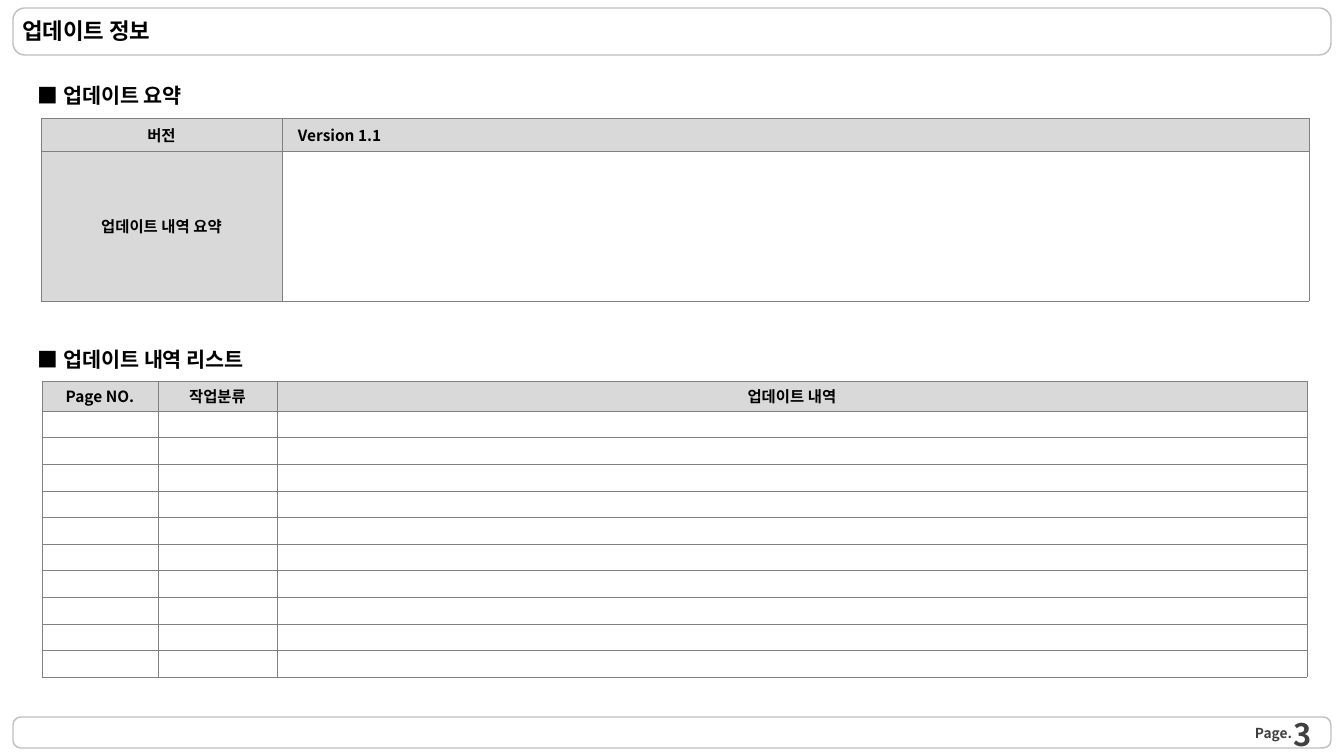
import pptx
import pptx.util
import pptx.dml.color
import pptx.enum.shapes
import pptx.enum.text
import pptx.oxml
import pptx.oxml.ns

# Content: lengths in px
TITLE = "업데이트 정보"
HEADINGS = [("■ 업데이트 요약", 77, 210), ("■ 업데이트 내역 리스트", 341, 306)]
PAGE_LABEL, PAGE_NUMBER = "Page.", "3"
SUMMARY = [["버전", "Version 1.1"], ["업데이트 내역 요약", ""]]
CHANGES = [["Page NO.", "작업분류", "업데이트 내역"]] + [["", "", ""]] * 10
BARS = [(8, 47), (717, 31)]  # top, height
BAR_LEFT, BAR_WIDTH = 13, 1318

FONT = "Noto Sans CJK KR"
BLACK, DARK, GREY, SILVER, PALE = "000000", "404040", "808080", "BFBFBF", "D9D9D9"
SCALE = 914400 / 100.8
ALIGN = pptx.enum.text.PP_ALIGN
MIDDLE = pptx.enum.text.MSO_ANCHOR.MIDDLE


def px(length):
    return pptx.util.Emu(round(length * SCALE))


def color(value):
    return pptx.dml.color.RGBColor.from_string(value)


def write(para, text, size, ink=BLACK, font=FONT, align=ALIGN.LEFT):
    para.text = text
    para.alignment = align
    para.font.size = pptx.util.Pt(size)
    para.font.bold = True
    para.font.color.rgb = color(ink)
    para.font.name = font
    east = pptx.oxml.parse_xml(f'<a:ea {pptx.oxml.ns.nsdecls("a")} typeface="{FONT}"/>')
    para.font._element.append(east)


def set_frame(frame, inset=0):
    frame.word_wrap = True
    frame.auto_size = pptx.enum.text.MSO_AUTO_SIZE.NONE
    frame.vertical_anchor = MIDDLE
    frame.margin_left = frame.margin_right = px(inset)
    frame.margin_top = frame.margin_bottom = 0


def add_text(left, top, width, height, text, size, inset=0, **style):
    box = page.shapes.add_textbox(px(left), px(top), px(width), px(height))
    set_frame(box.text_frame, inset)
    write(box.text_frame.paragraphs[0], text, size, **style)


def set_borders(cell):
    properties = cell._tc.get_or_add_tcPr()
    for place, side in enumerate(("lnL", "lnR", "lnT", "lnB")):
        properties.insert(place, pptx.oxml.parse_xml(
            f'<a:{side} {pptx.oxml.ns.nsdecls("a")} w="3175"><a:solidFill>'
            f'<a:srgbClr val="{GREY}"/></a:solidFill></a:{side}>'))


def add_grid(left, top, widths, heights, rows, left_aligned=()):
    table = page.shapes.add_table(len(rows), len(widths), px(left), px(top),
                                  px(sum(widths)), px(sum(heights))).table
    table.first_row = table.horz_banding = False
    for column, width in zip(table.columns, widths):
        column.width = px(width)
    for row, height in zip(table.rows, heights):
        row.height = px(height)
    for r, texts in enumerate(rows):
        for c, text in enumerate(texts):
            cell = table.cell(r, c)
            cell.vertical_anchor = MIDDLE
            cell.margin_left = px(16 if (r, c) in left_aligned else 10)
            cell.margin_right = px(10)
            cell.margin_top = cell.margin_bottom = px(3)
            para = cell.text_frame.paragraphs[0]
            if text:
                cell.fill.solid()
                cell.fill.fore_color.rgb = color(PALE)
                write(para, text, 11,
                      align=ALIGN.LEFT if (r, c) in left_aligned else ALIGN.CENTER)
            else:
                cell.fill.background()
                # Small end mark keeps empty rows low
                para._p.append(pptx.oxml.parse_xml(
                    f'<a:endParaRPr {pptx.oxml.ns.nsdecls("a")} sz="800"/>'))
            set_borders(cell)


deck = pptx.Presentation()
deck.slide_width, deck.slide_height = px(1344), px(756)
page = deck.slides.add_slide(deck.slide_layouts[5])

# Header and footer bars
for top, height in BARS:
    bar = page.shapes.add_shape(pptx.enum.shapes.MSO_SHAPE.ROUNDED_RECTANGLE,
                                px(BAR_LEFT), px(top), px(BAR_WIDTH), px(height))
    bar.adjustments[0] = 0.25
    bar.shadow.inherit = False
    bar.fill.background()
    bar.line.color.rgb = color(SILVER)
    bar.line.width = pptx.util.Pt(1)

# Title
title = page.shapes.title
title.left, title.top, title.width, title.height = px(BAR_LEFT), px(2), px(BAR_WIDTH), px(58)
set_frame(title.text_frame, 9)
write(title.text_frame.paragraphs[0], TITLE, 16, font="Arial")

# Page number
add_text(1255, 725, 56, 17, PAGE_LABEL, 9.8, ink=DARK)
add_text(1009, 726, 313, 16, PAGE_NUMBER, 22.1, inset=10, ink=DARK, align=ALIGN.RIGHT)

# Section headings and tables
for text, top, width in HEADINGS:
    add_text(27, top, width, 36, text, 14.8, inset=11)
add_grid(41, 118, [241, 1027], [33, 150], SUMMARY, left_aligned={(0, 1)})
add_grid(42, 381, [116, 119, 1030], [30] + [266 / 10] * 10, CHANGES)

deck.save("out.pptx")
